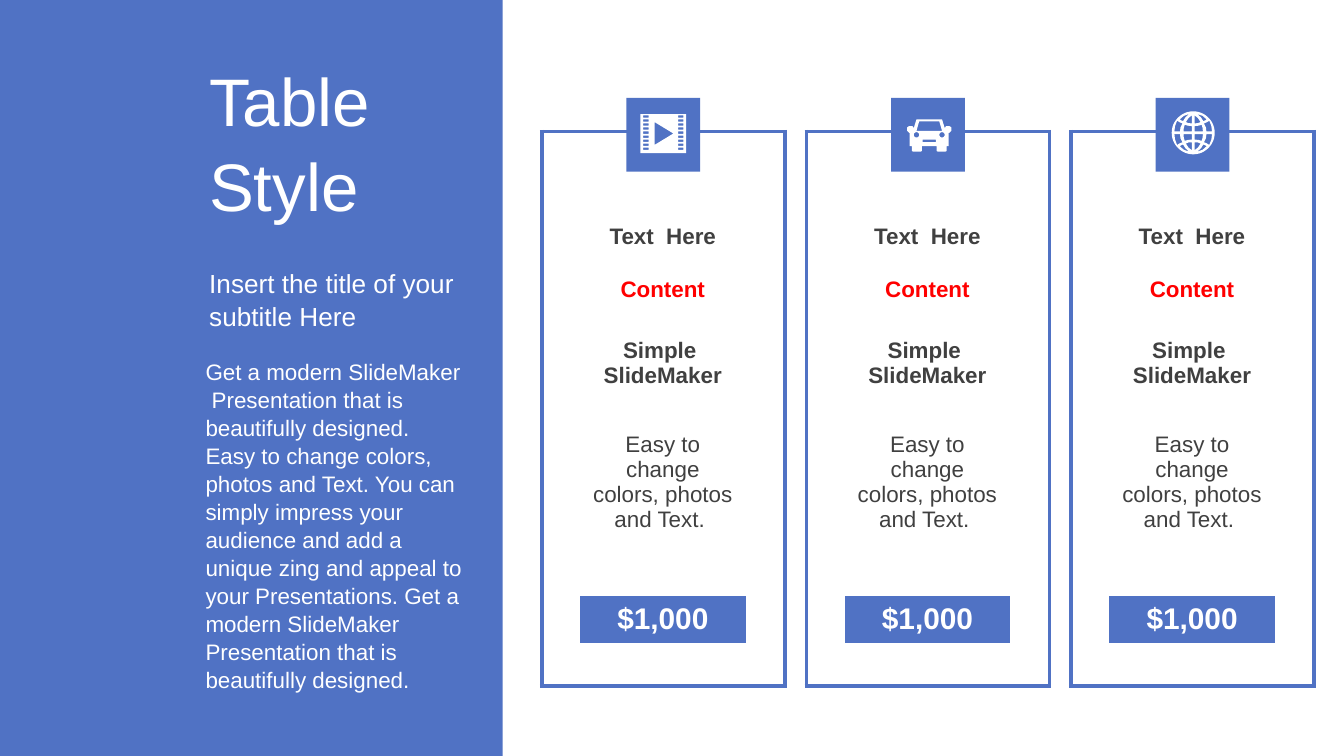
from dataclasses import dataclass
from math import cos, pi, sin

from lxml.etree import SubElement
from pptx import Presentation
from pptx.dml.color import RGBColor
from pptx.enum.shapes import MSO_SHAPE as Shape
from pptx.enum.text import MSO_ANCHOR as Anchor, PP_ALIGN as Align
from pptx.oxml.ns import qn
from pptx.util import Pt


@dataclass(frozen=True)
class Theme:
    font: str = "Arial"
    blue: str = "5072C4"
    white: str = "FFFFFF"
    dark: str = "404040"
    red: str = "FF0000"
    title: int = 36
    price: int = 16
    subtitle: int = 14
    body: int = 12
    border: float = 2.25


THEME = Theme()

INTRO = (
    "Get a modern SlideMaker  Presentation that is beautifully designed.  "
    "Easy to change colors, photos and Text. You can simply impress your "
    "audience and add a unique zing and appeal to your Presentations. "
    "Get a modern SlideMaker  Presentation that is beautifully designed."
)
# text, (left, top, width, height), size, anchor, line spacing
PANEL_TEXTS = [
    ("Table Style", (105, 10, 158.5, 130.5), THEME.title, Anchor.MIDDLE, 1.05),
    ("Insert the title of your subtitle Here", (105, 140.5, 153.5, 39.5),
     THEME.subtitle, Anchor.MIDDLE, 1.03),
    (INTRO, (103, 188, 154, 181.5), THEME.body, Anchor.TOP, 1.045),
]

PRICE_ROW = 6
CARD_TEXTS = {
    1: ("Text  Here", dict(bold=True)),
    2: ("Content", dict(bold=True, color=THEME.red)),
    3: ("Simple  SlideMaker", dict(bold=True)),
    4: ("Easy to change colors, photos and Text. ", {}),
    PRICE_ROW: ("$1,000", dict(bold=True, color=THEME.white, size=THEME.price)),
}
COLUMNS = [19.5, 90.75, 20]
ROWS = [42.5, 28, 28, 51, 76.5, 22, 27, 22]
CARD_LEFT, CARD_TOP, CARD_STEP = 290.25, 70.5, 141.75
TILE_TOP, TILE = 52.5, 39.5
PANEL_WIDTH = 269.25

# Icons are drawn on a grid of this many points around the tile's centre.
ICON_UNIT = 0.72
GLOBE_QUARTER = [
    [(1, -1), (1, -5), (4, -5.3), (6.3, -6), (7, -3.5), (7.2, -1)],
    [(12, -9), (10, -7.8), (8, -7), (9.5, -4), (9.8, -1), (14, -1), (13.5, -5)],
    [(1, -13), (1, -7), (3.5, -7.2), (5.5, -8), (3.5, -11)],
    [(3, -14), (5.8, -11.5), (7.5, -8.7), (9, -9.3), (10, -10), (7, -12.6)],
]
CAR_HALF = [
    (9.5, -12), (11.5, -5.5), (12.5, -7), (15, -7), (16.5, -6), (16.5, -3.5),
    (15, -2), (14.5, -2), (14.5, 8), (13, 8), (13, 11.5), (12, 12), (6.5, 12),
    (5.5, 11.5), (5.5, 8),
]


def box(left, top, right, bottom):
    return [(left, top), (right, top), (right, bottom), (left, bottom)]


def circle(x, y, radius, steps=48):
    turns = [2 * pi * i / steps for i in range(steps)]
    return [(x + radius * cos(t), y + radius * sin(t)) for t in turns]


def mirrored(half):
    """Close a right-hand outline with its reflection."""
    return half + [(-x, y) for x, y in reversed(half)]


def film():
    holes = [box(x, -14.5 + 3 * i, x + 4, -12.8 + 3 * i)
             for i in range(9) for x in (-15, 11)]
    return [box(-17, -15.5, 17, 13.5), [(-6.5, -9.5), (-6.5, 7.5), (7.5, -1)], *holes]


def car():
    return [
        mirrored(CAR_HALF),
        mirrored([(7.5, -10.5), (9.5, -3.5)]),
        box(-5, 3, 5, 5),
        *(circle(x, -0.5, 2, 16) for x in (-9.5, 9.5)),
    ]


def globe():
    holes = [[(x * side, y * end) for x, y in hole]
             for hole in GLOBE_QUARTER for side in (1, -1) for end in (1, -1)]
    return [circle(0, 0, 16), *holes]


# outlines, shift from the tile's centre in grid units
ICONS = [(film(), (0, 0)), (car(), (1, 0.5)), (globe(), (0.5, -1.5))]


def rgb(color):
    return RGBColor.from_string(color)


def paint(shape, color):
    shape.shadow.inherit = False
    shape.fill.solid()
    shape.fill.fore_color.rgb = rgb(color)
    shape.line.fill.background()


def write(frame, text, size=THEME.body, color=THEME.dark, bold=False,
          align=Align.LEFT, spacing=1.0):
    paragraph = frame.paragraphs[0]
    paragraph.alignment = align
    paragraph.line_spacing = spacing
    run = paragraph.add_run()
    run.text = text
    run.font.name, run.font.size, run.font.bold = THEME.font, Pt(size), bold
    run.font.color.rgb = rgb(color)


def add_rectangle(slide, *bounds):
    rectangle = slide.shapes.add_shape(Shape.RECTANGLE, *map(Pt, bounds))
    paint(rectangle, THEME.blue)


def add_icon(slide, outlines, center_x, center_y):
    def place(point):
        return (Pt(center_x + point[0] * ICON_UNIT), Pt(center_y + point[1] * ICON_UNIT))

    builder = slide.shapes.build_freeform(*place(outlines[0][0]), scale=1.0)
    for i, outline in enumerate(outlines):
        if i:
            builder.move_to(*place(outline[0]))
        builder.add_line_segments([place(p) for p in outline[1:]], close=True)
    paint(builder.convert_to_shape(), THEME.white)


def set_borders(cell, row, column):
    """Blue round the card, white round the price, none elsewhere."""
    neighbours = {"a:lnL": (row, column - 1), "a:lnR": (row, column + 1),
                  "a:lnT": (row - 1, column), "a:lnB": (row + 1, column)}
    properties = cell._tc.get_or_add_tcPr()
    for tag, (r, c) in neighbours.items():
        line = SubElement(properties, qn(tag), w=str(Pt(THEME.border)))
        if not (0 <= r < len(ROWS) and 0 <= c < len(COLUMNS)):
            color = THEME.blue
        elif (PRICE_ROW, 1) in ((r, c), (row, column)):
            color = THEME.white
        else:
            SubElement(line, qn("a:noFill"))
            continue
        SubElement(SubElement(line, qn("a:solidFill")), qn("a:srgbClr"), val=color)


def add_card(slide, left):
    table = slide.shapes.add_table(
        len(ROWS), len(COLUMNS), Pt(left), Pt(CARD_TOP), Pt(sum(COLUMNS)), Pt(sum(ROWS))
    ).table
    table.first_row = table.horz_banding = False
    for column, width in zip(table.columns, COLUMNS):
        column.width = Pt(width)
    for r, height in enumerate(ROWS):
        table.rows[r].height = Pt(height)
        for c in range(len(COLUMNS)):
            cell = table.cell(r, c)
            set_borders(cell, r, c)
            cell.margin_top = cell.margin_bottom = Pt(0)
            cell.vertical_anchor = Anchor.MIDDLE
            cell.fill.solid()
            is_price = (r, c) == (PRICE_ROW, 1)
            cell.fill.fore_color.rgb = rgb(THEME.blue if is_price else THEME.white)
            if c == 1 and r in CARD_TEXTS:
                text, style = CARD_TEXTS[r]
                write(cell.text_frame, text, align=Align.CENTER, **style)


def main():
    deck = Presentation()
    deck.slide_width, deck.slide_height = Pt(720), Pt(405)
    slide = deck.slides.add_slide(deck.slide_layouts[6])

    add_rectangle(slide, 0, 0, PANEL_WIDTH, 405)
    for text, bounds, size, anchor, spacing in PANEL_TEXTS:
        frame = slide.shapes.add_textbox(*map(Pt, bounds)).text_frame
        frame.word_wrap = True
        frame.vertical_anchor = anchor
        write(frame, text, size=size, color=THEME.white, spacing=spacing)

    for i, (outlines, (dx, dy)) in enumerate(ICONS):
        left = CARD_LEFT + i * CARD_STEP
        center_x, center_y = left + sum(COLUMNS) / 2, TILE_TOP + TILE / 2
        add_card(slide, left)
        add_rectangle(slide, center_x - TILE / 2, TILE_TOP, TILE, TILE)
        add_icon(slide, outlines, center_x + dx * ICON_UNIT, center_y + dy * ICON_UNIT)

    deck.save("out.pptx")


if __name__ == "__main__":
    main()
